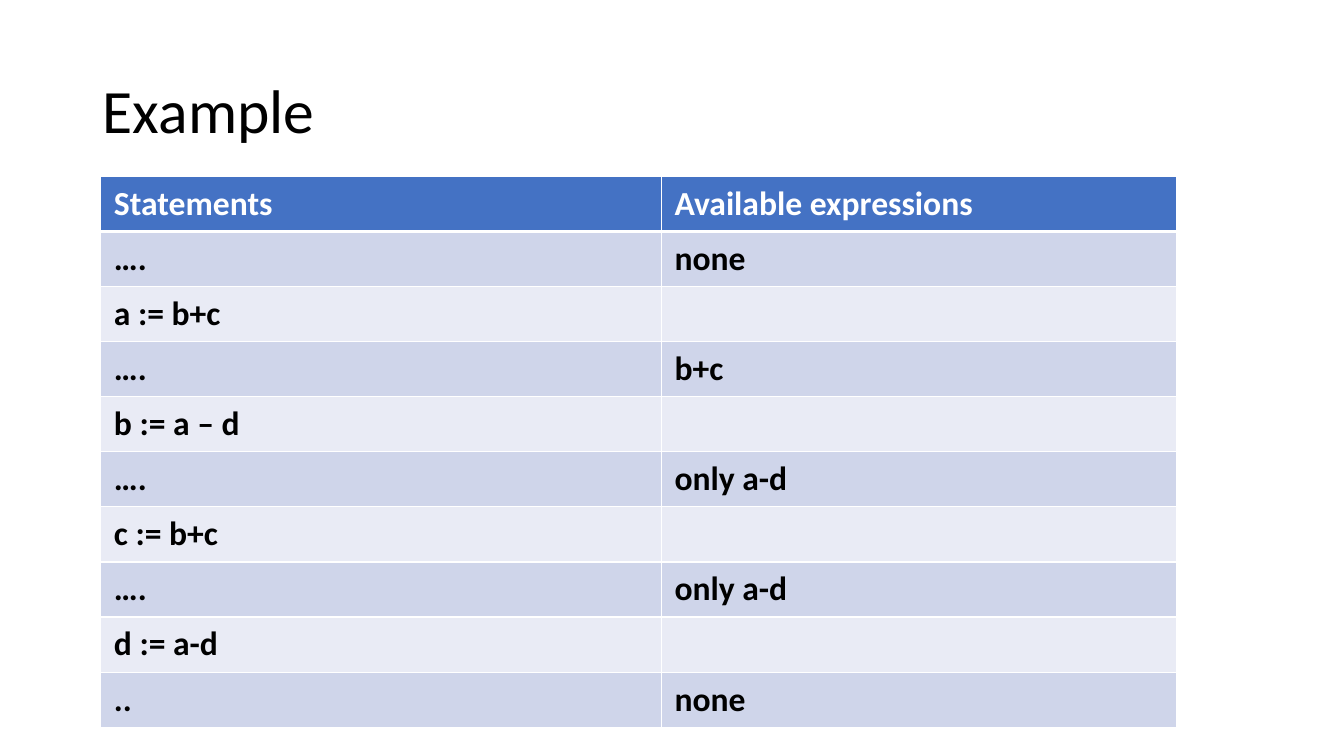
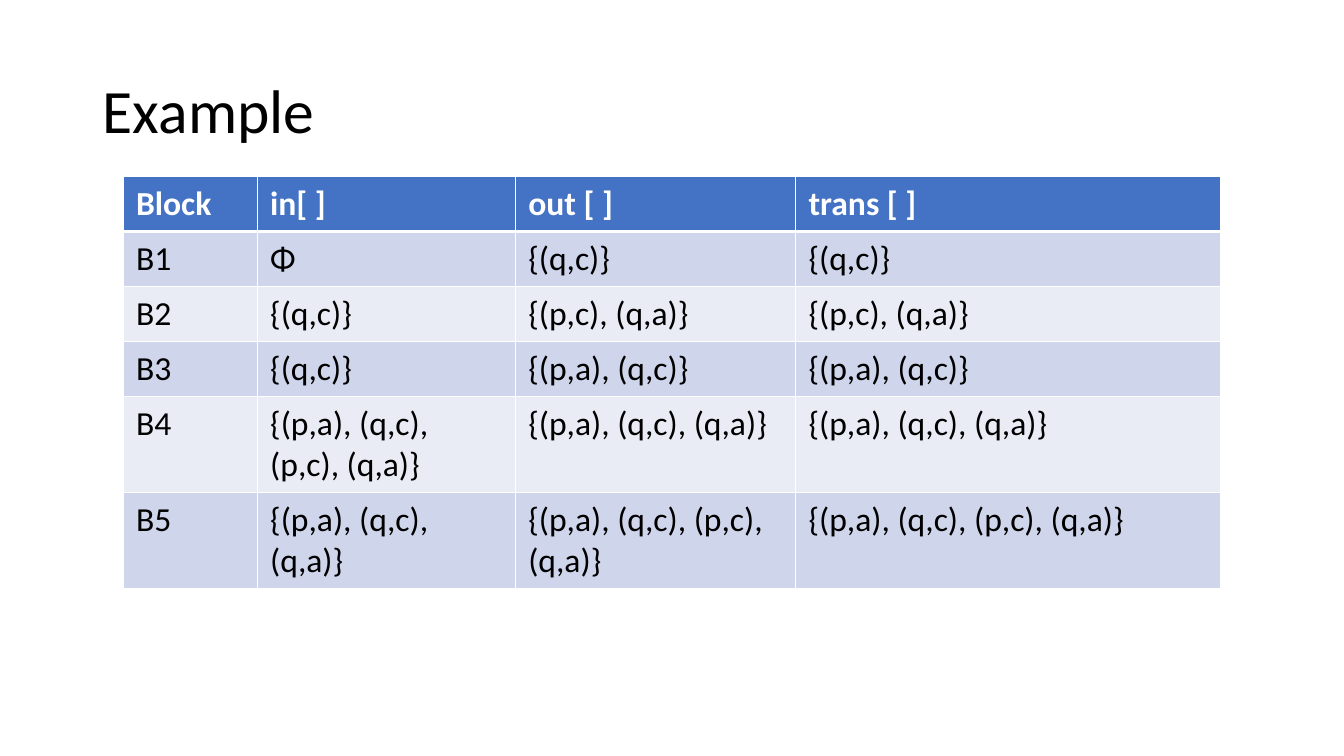
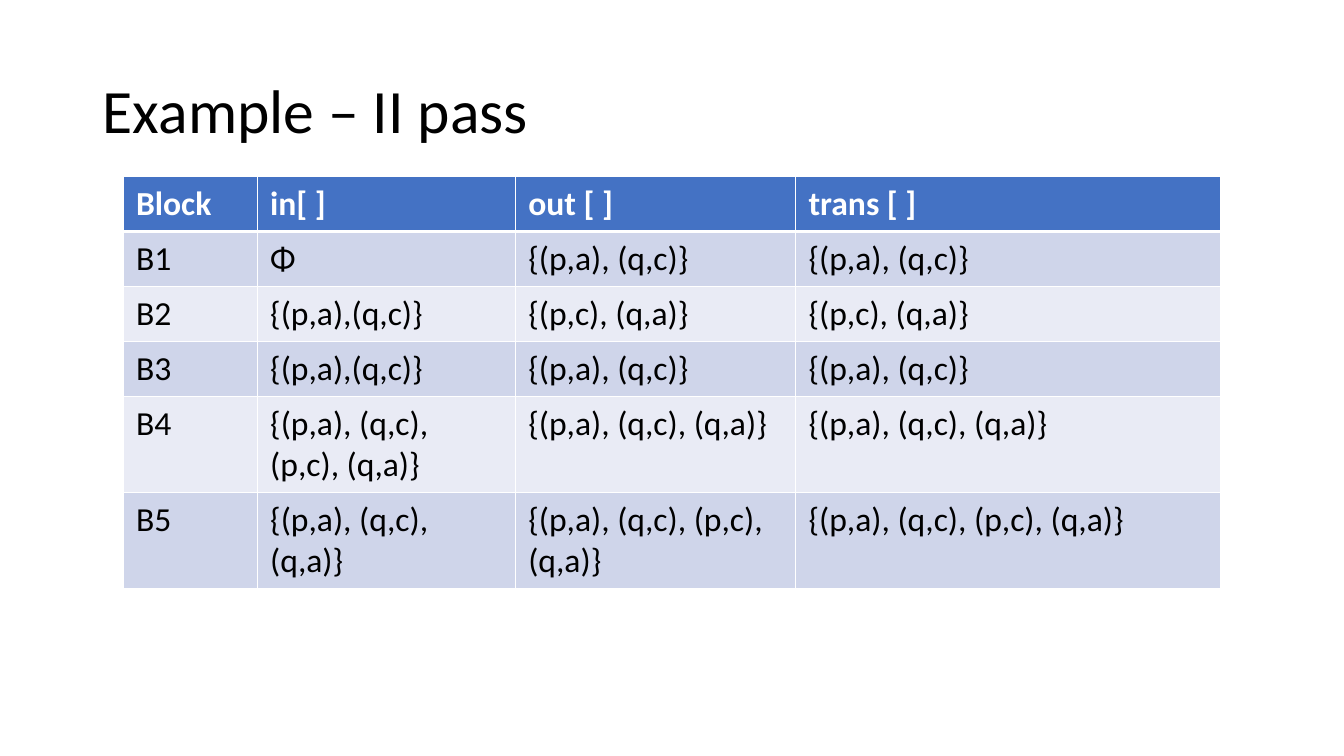
from pptx import Presentation
from pptx.dml.color import RGBColor as RGB
from pptx.enum.text import MSO_ANCHOR as Anchor, MSO_AUTO_SIZE as Fit, PP_ALIGN as Align
from pptx.oxml import parse_xml
from pptx.oxml.ns import nsdecls
from pptx.util import Inches, Pt

HUES = {"text": "000000", "white": "FFFFFF", "head": "4472C4", "odd": "CFD5EA", "even": "E9EBF5"}
FACE = "Calibri"


def style(para, size, hue, bold=False):
    font = para.font
    font.name, font.size, font.bold = FACE, Pt(size), bold
    font.color.rgb = RGB.from_string(HUES[hue])


def edge(cell, side, width):
    cell._tc.get_or_add_tcPr().append(parse_xml(
        f'<a:ln{side} {nsdecls("a")} w="{Pt(width)}"><a:solidFill>'
        f'<a:srgbClr val="{HUES["white"]}"/></a:solidFill></a:ln{side}>'))


flow = [
    ["Statements", "Available expressions"],
    ["….", "none"],
    ["a := b+c", ""],
    ["….", "b+c"],
    ["b := a – d", ""],
    ["….", "only a-d"],
    ["c := b+c", ""],
    ["….", "only a-d"],
    ["d := a-d", ""],
    ["..", "none"],
]
heads = ["Block", "in[ ]", "out [ ]", "trans [ ]"]
both = "{(p,a), (q,c)}"
swap = "{(p,c), (q,a)}"
three = "{(p,a), (q,c), (q,a)}"
four = "{(p,a), (q,c), (p,c), (q,a)}"
tail = [["B4", four, three, three], ["B5", three, four, four]]
first = [
    heads,
    ["B1", "Φ", "{(q,c)}", "{(q,c)}"],
    ["B2", "{(q,c)}", swap, swap],
    ["B3", "{(q,c)}", both, both],
    *tail,
]
second = [
    heads,
    ["B1", "Φ", both, both],
    ["B2", "{(p,a),(q,c)}", swap, swap],
    ["B3", "{(p,a),(q,c)}", both, both],
    *tail,
]
wide = [1.33, 2.56, 2.78, 4.22]
tall = [0.54] * 4 + [0.95] * 2
pages = [
    ("Example", 1, [5.56, 5.11], [0.54] * 10, flow, True),
    ("Example", 1.22, wide, tall, first, False),
    ("Example – II pass", 1.22, wide, tall, second, False),
]

deck = Presentation()
deck.slide_width, deck.slide_height = Inches(13.33), Inches(7.5)

for name, left, cols, highs, rows, bold in pages:
    slide = deck.slides.add_slide(deck.slide_layouts[5])
    title = slide.shapes.title
    title.left, title.top = Inches(0.92), Inches(0.4)
    title.width, title.height = Inches(11.5), Inches(1.45)
    frame = title.text_frame
    frame.text = name
    frame.auto_size = Fit.NONE
    frame.vertical_anchor = Anchor.MIDDLE
    para = frame.paragraphs[0]
    para.alignment, para.line_spacing = Align.LEFT, 0.9
    style(para, 44, "text")

    table = slide.shapes.add_table(
        len(rows), len(cols), Inches(left), Inches(1.75),
        Inches(sum(cols)), Inches(sum(highs))).table
    for col, width in zip(table.columns, cols):
        col.width = Inches(width)
    for row, high in zip(table.rows, highs):
        row.height = Inches(high)
    for r, row in enumerate(rows):
        for c, text in enumerate(row):
            cell = table.cell(r, c)
            cell.margin_left = cell.margin_right = Inches(0.13)
            cell.margin_top = cell.margin_bottom = Inches(0.07)
            for side, width in (("L", 1), ("R", 1), ("T", 3 if r == 1 else 1), ("B", 3 if r == 0 else 1)):
                edge(cell, side, width)
            cell.fill.solid()
            band = "head" if r == 0 else "odd" if r % 2 else "even"
            cell.fill.fore_color.rgb = RGB.from_string(HUES[band])
            if text:
                cell.text = text
                style(cell.text_frame.paragraphs[0], 24, "text" if r else "white", bold or r == 0)

deck.save("out.pptx")
